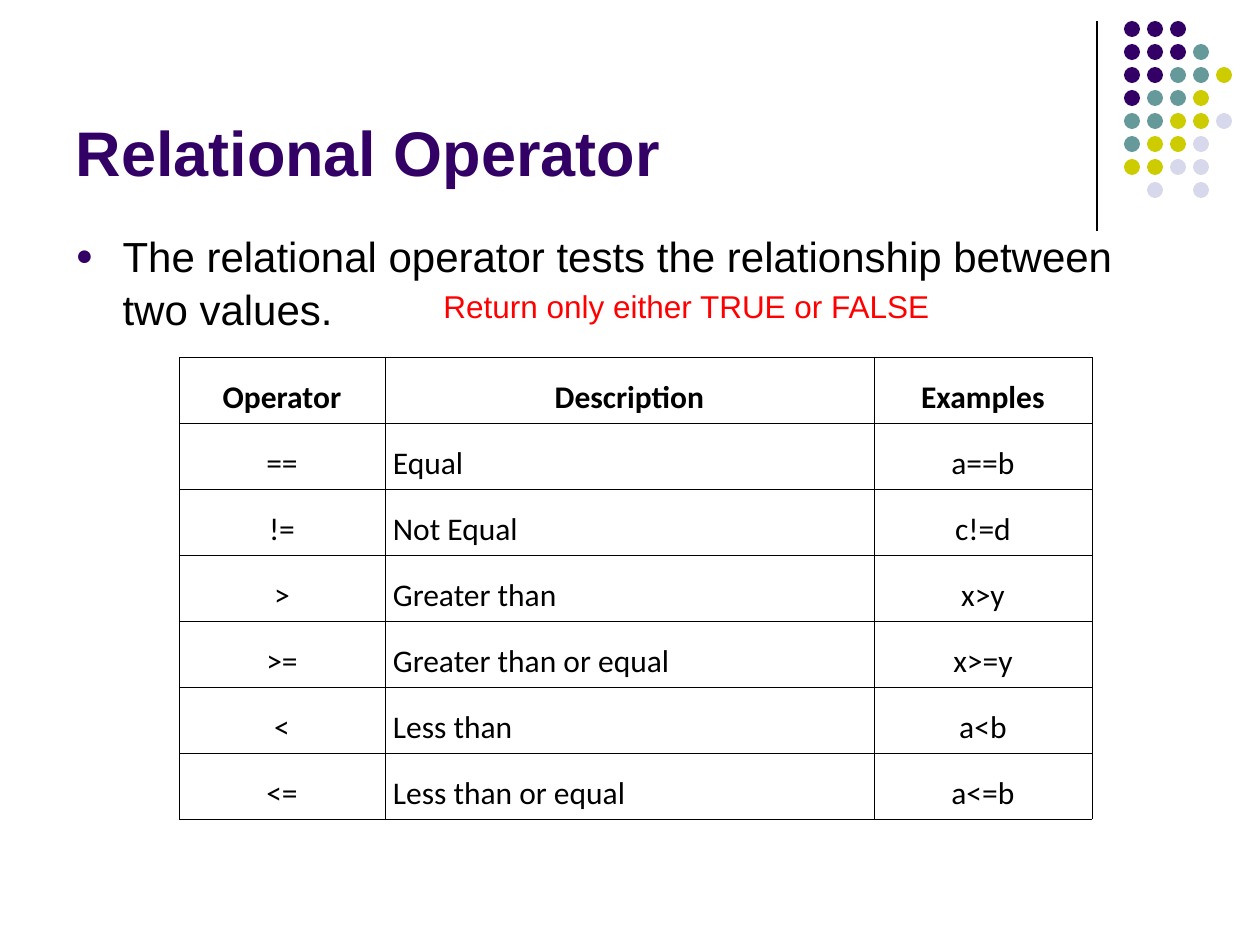
from dataclasses import dataclass

from lxml.etree import SubElement
from pptx import Presentation
from pptx.dml.color import RGBColor
from pptx.enum.shapes import MSO_CONNECTOR, MSO_SHAPE
from pptx.enum.text import MSO_ANCHOR, MSO_AUTO_SIZE, PP_ALIGN
from pptx.oxml.ns import qn
from pptx.util import Emu, Pt

PURPLE, TEAL, LIME, LILAC = "330066", "669999", "CCCC00", "D8D8EC"
BLACK, RED = "000000", "FF0000"
DOT_COLORS = {"P": PURPLE, "T": TEAL, "Y": LIME, "L": LILAC}
DOT_ROWS = ["PPP", "PPPT", "PPTTY", "PTTY", "TTYYL", "TYYL", "YYLL", ".L.L"]


@dataclass
class Column:
    width: int
    align: PP_ALIGN
    margin: int


@dataclass
class Operator:
    symbol: str
    description: str
    example: str


COLUMNS = [
    Column(206, PP_ALIGN.CENTER, 1),
    Column(489, PP_ALIGN.LEFT, 8),
    Column(218, PP_ALIGN.CENTER, 1),
]
OPERATORS = [
    Operator("Operator", "Description", "Examples"),
    Operator("==", "Equal", "a==b"),
    Operator("!=", "Not Equal", "c!=d"),
    Operator(">", "Greater than", "x>y"),
    Operator(">=", "Greater than or equal", "x>=y"),
    Operator("<", "Less than", "a<b"),
    Operator("<=", "Less than or equal", "a<=b"),
]


def px(n: int) -> Emu:
    return Emu(round(n * 914400 / 126))


def rgb(color: str) -> RGBColor:
    return RGBColor.from_string(color)


def box(*lengths: int) -> list[Emu]:
    return [px(n) for n in lengths]


def place(sp, x: int, y: int, w: int, h: int) -> None:
    sp.left, sp.top, sp.width, sp.height = box(x, y, w, h)


def write(tf, text: str, size: int, color: str, name: str = "Arial",
          bold: bool = False, align: PP_ALIGN = PP_ALIGN.LEFT):
    tf.text = text
    p = tf.paragraphs[0]
    p.alignment = align
    p.space_before = Pt(0)
    f = p.runs[0].font
    f.size, f.name, f.bold = Pt(size), name, bold
    f.color.rgb = rgb(color)
    return p


def add_bullet(p, char: str, color: str, indent: int) -> None:
    pPr = p._p.get_or_add_pPr()
    pPr.set("marL", str(px(indent)))
    pPr.set("indent", str(-px(indent)))
    SubElement(SubElement(pPr, qn("a:buClr")), qn("a:srgbClr"), val=color)
    SubElement(pPr, qn("a:buSzPct"), val="70000")
    SubElement(pPr, qn("a:buFont"), typeface="Arial")
    SubElement(pPr, qn("a:buChar"), char=char)


def add_borders(cell, color: str, width: float) -> None:
    tcPr = cell._tc.get_or_add_tcPr()
    for i, side in enumerate(("a:lnL", "a:lnR", "a:lnT", "a:lnB")):
        ln = tcPr.makeelement(qn(side), {"w": str(Pt(width))})
        fill = SubElement(ln, qn("a:solidFill"))
        SubElement(fill, qn("a:srgbClr"), val=color)
        tcPr.insert(i, ln)


def add_decoration(s) -> None:
    line = s.shapes.add_connector(MSO_CONNECTOR.STRAIGHT, *box(1097, 21, 1097, 231))
    line.line.color.rgb = rgb(BLACK)
    line.line.width = Pt(0.75)
    SubElement(line._element.spPr, qn("a:effectLst"))
    pitch, size = 23, 16
    for row, codes in enumerate(DOT_ROWS):
        for col, code in enumerate(codes):
            if code not in DOT_COLORS:
                continue
            dot = s.shapes.add_shape(
                MSO_SHAPE.OVAL, *box(1124 + col * pitch, 21 + row * pitch, size, size))
            dot.shadow.inherit = False
            dot.fill.solid()
            dot.fill.fore_color.rgb = rgb(DOT_COLORS[code])
            dot.line.fill.background()


def add_operator_table(s, x: int, y: int, row_height: int) -> None:
    width = sum(c.width for c in COLUMNS)
    height = row_height * len(OPERATORS)
    table = s.shapes.add_table(
        len(OPERATORS), len(COLUMNS), *box(x, y, width, height)).table
    table.first_row = table.horz_banding = False
    for i, column in enumerate(COLUMNS):
        table.columns[i].width = px(column.width)
    for i, op in enumerate(OPERATORS):
        table.rows[i].height = px(row_height)
        header = i == 0
        for j, text in enumerate((op.symbol, op.description, op.example)):
            column = COLUMNS[j]
            cell = table.cell(i, j)
            cell.fill.background()
            cell.vertical_anchor = MSO_ANCHOR.BOTTOM
            cell.margin_left = px(1 if header else column.margin)
            cell.margin_right = px(1)
            cell.margin_top = cell.margin_bottom = px(6)
            write(cell.text_frame, text, 18, BLACK, "Calibri", header,
                  PP_ALIGN.CENTER if header else column.align)
            add_borders(cell, BLACK, 0.23)


def main() -> None:
    prs = Presentation()
    prs.slide_width, prs.slide_height = box(1260, 945)
    s = prs.slides.add_slide(prs.slide_layouts[1])
    add_decoration(s)

    title = s.shapes.title
    place(title, 63, 16, 1040, 179)
    tf = title.text_frame
    tf.auto_size = MSO_AUTO_SIZE.NONE
    tf.vertical_anchor = MSO_ANCHOR.BOTTOM
    write(tf, "Relational Operator", 36, PURPLE, bold=True)

    body = s.placeholders[1]
    place(body, 63, 221, 1134, 624)
    tf = body.text_frame
    tf.auto_size = MSO_AUTO_SIZE.NONE
    p = write(tf, "The relational operator tests the relationship between two values.",
              24, BLACK)
    p.line_spacing = 1.06
    add_bullet(p, "●", PURPLE, 47)

    add_operator_table(s, 179, 357, 66)

    note = s.shapes.add_textbox(*box(431, 281, 546, 50))
    tf = note.text_frame
    tf.word_wrap = True
    write(tf, "Return only either TRUE or FALSE", 18, RED)

    prs.save("out.pptx")


if __name__ == "__main__":
    main()
